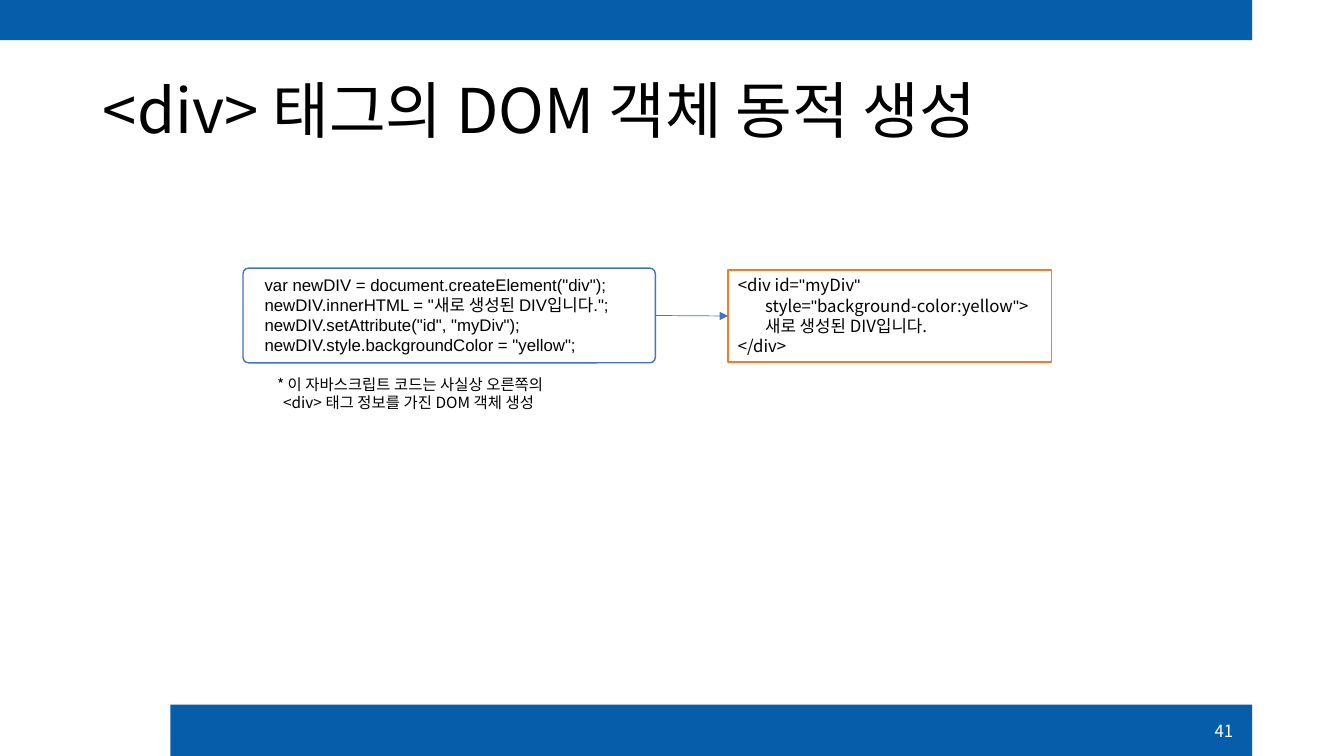
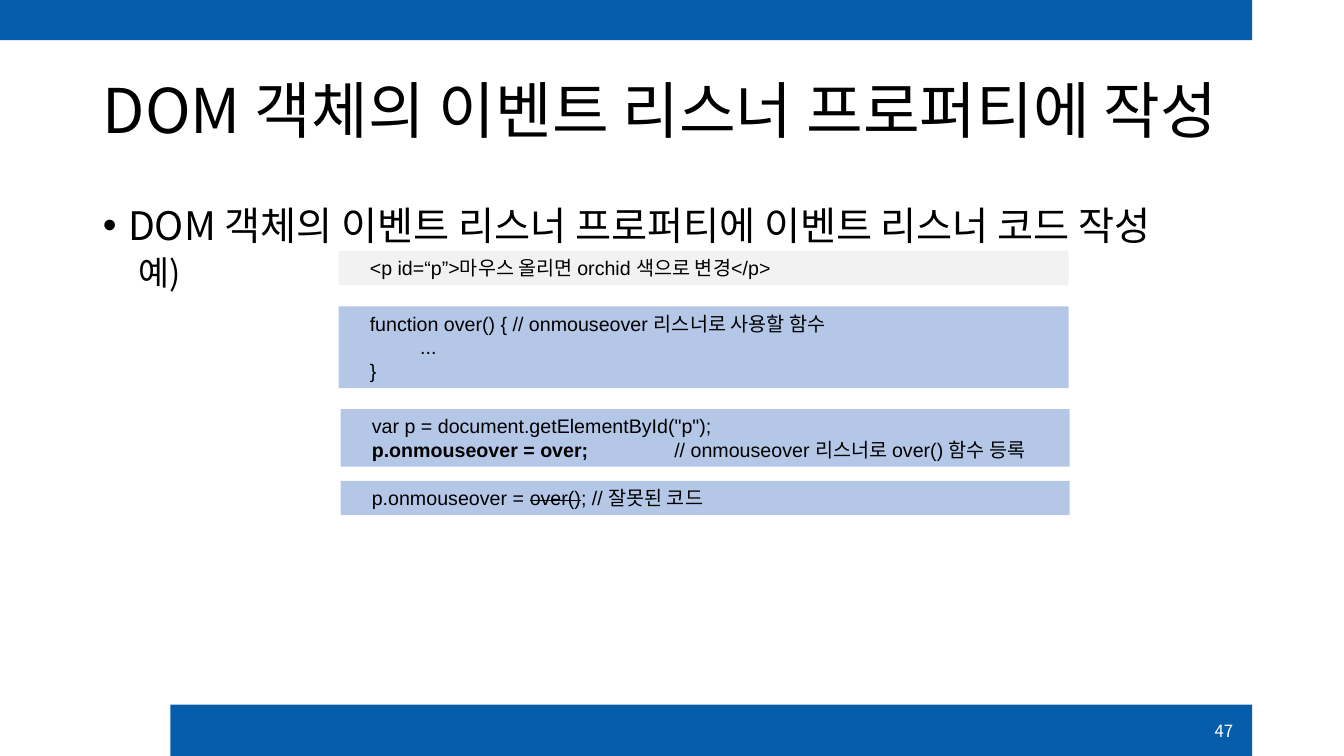
from lxml import etree
from pptx import Presentation
from pptx import util as u
from pptx.dml.color import RGBColor
from pptx.enum import shapes, text
from pptx.oxml.ns import qn

COLORS = {"band": "065DAA", "ink": "000000", "paper": "FFFFFF", "blue": "4472C4",
          "orange": "ED7D31", "gray": "F2F2F2", "pale": "B4C7E7"}
SANS, CODE = "Noto Sans CJK KR", "Arial"
BANDS = [(1.69, 6.99, 10.73, 0.51), (0, 0, 12.42, 0.4)]
TITLE_AT = (0.92, 0.4, 11.5, 1.45)
BODY_AT = (0.92, 2, 11.5, 4.76)
NUMBER_AT = (11.72, 7.05, 0.61, 0.4)
TAB_STEP, TAB_COUNT = 0.21, 16

CREATION = {
    "title": "<div> 태그의 DOM 객체 동적 생성",
    "number": "41",
    "script_at": (2.41, 2.66, 4.09, 0.94),
    "script": ['var newDIV = document.createElement("div");',
               'newDIV.innerHTML = "새로 생성된 DIV입니다.";',
               'newDIV.setAttribute("id", "myDiv");',
               'newDIV.style.backgroundColor = "yellow";'],
    "markup_at": (7.22, 2.68, 3.21, 0.91),
    "markup": [('<div id="myDiv"', 0),
               ('style="background-color:yellow">', 0.27),
               ("새로 생성된 DIV입니다.", 0.27),
               ("</div>", 0)],
    "note_at": (2.65, 3.67, 3.27, 0.47),
    "note": [("* 이 자바스크립트 코드는 사실상 오른쪽의", 0),
             ("<div> 태그 정보를 가진 DOM 객체 생성", 0.06)],
}
LISTENER = {
    "title": "DOM 객체의 이벤트 리스너 프로퍼티에 작성",
    "number": "47",
    "body": [
        {"line": "DOM 객체의 이벤트 리스너 프로퍼티에 이벤트 리스너 코드 작성",
         "size": 28, "level": 0, "before": 10, "left": 0.25, "hang": -0.25, "bullet": "•"},
        {"line": "예)", "size": 24, "level": 1, "before": 5, "left": 0.35},
    ],
    "examples": [
        ((3.36, 2.49, 7.24, 0.34), "gray",
         [[("<p id=“p”>마우스 올리면 orchid 색으로 변경</p>", "")]]),
        ((3.36, 3.04, 7.24, 0.81), "pale",
         [[("function over() { // onmouseover 리스너로 사용할 함수", "")],
          [("\t...", "")],
          [("}", "")]]),
        ((3.38, 4.06, 7.23, 0.57), "pale",
         [[('var p = document.getElementById("p");', "")],
          [("p.onmouseover = over; ", "bold"),
           ("\t\t// onmouseover 리스너로 over() 함수 등록", "")]]),
        ((3.38, 4.77, 7.23, 0.34), "pale",
         [[("p.onmouseover = ", ""), ("over()", "strike"), ("; // 잘못된 코드", "")]]),
    ],
}


def rgb(name):
    return RGBColor.from_string(COLORS[name])


def inches(at):
    return [u.Inches(v) for v in at]


def place(part, at):
    part.left, part.top, part.width, part.height = inches(at)


def prepare(frame, anchor):
    frame.word_wrap = True
    frame.auto_size = text.MSO_AUTO_SIZE.NONE
    frame.vertical_anchor = anchor


def format_line(para, size, font=SANS, color="ink", left=0, hang=0, bullet=None,
                spacing=None, before=None, align=text.PP_ALIGN.LEFT, tabs=False):
    para.alignment = align
    if spacing:
        para.line_spacing = spacing
    if before is not None:
        para.space_before = u.Pt(before)
    props = para._p.get_or_add_pPr()
    props.set("marL", str(u.Inches(left)))
    props.set("indent", str(u.Inches(hang)))
    if bullet:
        etree.SubElement(props, qn("a:buChar"), char=bullet)
    else:
        etree.SubElement(props, qn("a:buNone"))
    if tabs:
        stops = etree.SubElement(props, qn("a:tabLst"))
        for i in range(1, TAB_COUNT + 1):
            etree.SubElement(stops, qn("a:tab"), pos=str(u.Inches(TAB_STEP * i)), algn="l")
    para.font.size = u.Pt(size)
    para.font.color.rgb = rgb(color)
    para.font.name = font
    etree.SubElement(props.find(qn("a:defRPr")), qn("a:ea"), typeface=SANS)


def paragraphs(frame, lines):
    for i, line in enumerate(lines):
        yield (frame.paragraphs[0] if i == 0 else frame.add_paragraph()), line


def add_box(slide, at, fill, line=None, kind=shapes.MSO_SHAPE.RECTANGLE):
    box = slide.shapes.add_shape(kind, *inches(at))
    box.shadow.inherit = False
    box.fill.solid()
    box.fill.fore_color.rgb = rgb(fill)
    if line:
        box.line.color.rgb = rgb(line)
        box.line.width = u.Pt(1)
    else:
        box.line.fill.background()
    prepare(box.text_frame, text.MSO_ANCHOR.TOP)
    return box


def add_bands(prs, slide):
    for i, at in enumerate(BANDS):
        band = add_box(slide, at, "band").element
        band.nvSpPr.cNvPr.set("id", str(20 + i))
        prs.slide_master.shapes.element.insert(2 + i, band)


def start_slide(prs, layout, content):
    slide = prs.slides.add_slide(prs.slide_layouts[layout])
    title = slide.shapes.title
    place(title, TITLE_AT)
    prepare(title.text_frame, text.MSO_ANCHOR.MIDDLE)
    title.text_frame.text = content["title"]
    format_line(title.text_frame.paragraphs[0], 44, spacing=0.9)
    number = slide.shapes.add_textbox(*inches(NUMBER_AT)).text_frame
    prepare(number, text.MSO_ANCHOR.MIDDLE)
    number.text = content["number"]
    format_line(number.paragraphs[0], 12, color="paper", align=text.PP_ALIGN.RIGHT)
    return slide


def add_arrow(slide, source, target):
    arrow = slide.shapes.add_connector(shapes.MSO_CONNECTOR.STRAIGHT, 0, 0, 0, 0)
    arrow.begin_connect(source, 3)
    arrow.end_connect(target, 1)
    arrow.line.color.rgb = rgb("blue")
    arrow.line.width = u.Pt(0.5)
    etree.SubElement(arrow.line._get_or_add_ln(), qn("a:tailEnd"), type="triangle")
    etree.SubElement(arrow.element.spPr, qn("a:effectLst"))


def build_creation(slide, content):
    script = add_box(slide, content["script_at"], "paper", "blue",
                     shapes.MSO_SHAPE.ROUNDED_RECTANGLE)
    script.adjustments[0] = 0.06
    for para, line in paragraphs(script.text_frame, content["script"]):
        para.text = line
        format_line(para, 12, CODE, left=0.1)

    markup = add_box(slide, content["markup_at"], "paper", "orange")
    for para, (line, left) in paragraphs(markup.text_frame, content["markup"]):
        for i, piece in enumerate(line.split('"')):
            if i:
                quote = para.add_run()
                quote.text = '"'
                quote.font.name = CODE
            if piece:
                para.add_run().text = piece
        format_line(para, 12, left=left)

    note = slide.shapes.add_textbox(*inches(content["note_at"])).text_frame
    prepare(note, text.MSO_ANCHOR.TOP)
    for para, (line, left) in paragraphs(note, content["note"]):
        para.text = line
        format_line(para, 11, left=left)
    add_arrow(slide, script, markup)


def build_listener(slide, content):
    body = slide.placeholders[1]
    place(body, BODY_AT)
    prepare(body.text_frame, text.MSO_ANCHOR.TOP)
    for para, item in paragraphs(body.text_frame, content["body"]):
        para.text = item["line"]
        para.level = item["level"]
        format_line(para, item["size"], left=item["left"], hang=item.get("hang", 0),
                    bullet=item.get("bullet"), spacing=0.9, before=item["before"])

    for at, fill, lines in content["examples"]:
        example = add_box(slide, at, fill)
        for para, pieces in paragraphs(example.text_frame, lines):
            for piece, style in pieces:
                run = para.add_run()
                run.text = piece
                if style == "bold":
                    run.font.bold = True
                elif style == "strike":
                    run._r.get_or_add_rPr().set("strike", "sngStrike")
            format_line(para, 14, CODE, left=0.21, tabs=True)


def main():
    prs = Presentation()
    prs.slide_width, prs.slide_height = u.Inches(13.33), u.Inches(7.5)
    creation = start_slide(prs, 5, CREATION)
    add_bands(prs, creation)
    build_creation(creation, CREATION)
    build_listener(start_slide(prs, 1, LISTENER), LISTENER)
    prs.save("out.pptx")


if __name__ == "__main__":
    main()
